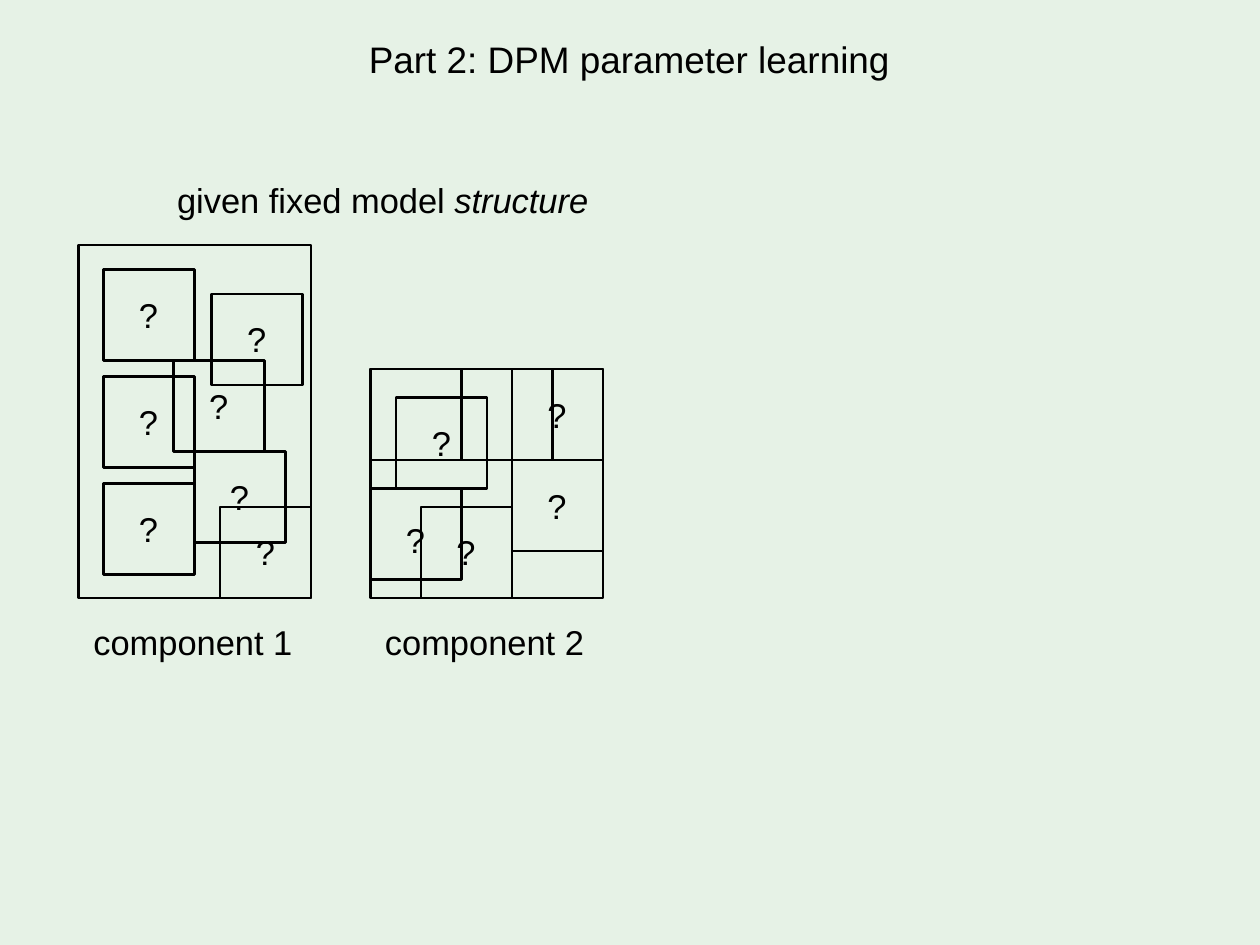
import pptx
import pptx.dml.color
import pptx.enum.shapes
import pptx.enum.text
import pptx.util

WIDE, HIGH = pptx.util.Inches(14.22), pptx.util.Inches(10.67)
COLS, ROWS = 1024, 768
INK, PAPER = "000000", "E6F2E6"
SIDE = 74             # side of a part, in grid columns
LEFT, DROP = 26, 17   # place of a mark within its part

# Each part: column, row, drop of its mark (None for no mark)
ONE = [(108, 40, DROP)]
ONE += [(20, 20 + 87 * i, DROP) for i in range(3)]
ONE += [(77, 94, DROP), (94, 168, DROP), (115, 213, DROP)]
TWO = [(0, 0, None), (21, 23, DROP), (74, 0, None), (115, 0, DROP),
       (115, SIDE, DROP), (41, 112, DROP), (0, 97, 22)]


def color(code):
    return pptx.dml.color.RGBColor.from_string(code)


def place(box):
    """Turn a box in grid columns and rows into slide lengths."""
    x, y, w, h = box
    return [round(n) for n in (x * WIDE / COLS, y * HIGH / ROWS,
                               w * WIDE / COLS, h * HIGH / ROWS)]


def style(item, **values):
    for name, value in values.items():
        setattr(item, name, value)


def write(shape, runs, size=28, align=pptx.enum.text.PP_ALIGN.LEFT):
    """Fill a shape with runs given as (text, italic)."""
    frame = shape.text_frame
    inset = pptx.util.Inches(0.04)
    style(frame, word_wrap=False, margin_left=inset, margin_right=inset,
          margin_top=inset, margin_bottom=inset,
          auto_size=pptx.enum.text.MSO_AUTO_SIZE.SHAPE_TO_FIT_TEXT,
          vertical_anchor=pptx.enum.text.MSO_ANCHOR.TOP)
    line = frame.paragraphs[0]
    line.alignment = align
    for text, slant in runs:
        run = line.add_run()
        run.text = text
        style(run.font, name="Arial", size=pptx.util.Pt(size), italic=slant)
        run.font.color.rgb = color(INK)


def label(shapes, box, *runs):
    write(shapes.add_textbox(*place(box)), runs)


def frame(shapes, box):
    kind = pptx.enum.shapes.MSO_SHAPE.RECTANGLE
    rect = shapes.add_shape(kind, *place(box))
    rect.shadow.inherit = False
    rect.fill.background()
    rect.line.color.rgb = color(INK)
    rect.line.width = pptx.util.Pt(2)


def model(slide, box, parts, name):
    """Draw one component: its root box, parts, marks and name below."""
    x, y, w, h = box
    shapes = slide.shapes.add_group_shape().shapes
    frame(shapes, box)
    for col, row, drop in parts:
        frame(shapes, (x + col, y + row, SIDE, SIDE))
    for col, row, drop in parts:
        if drop is not None:
            label(shapes, (x + col + LEFT, y + row + drop, 21, 40),
                  ("?", False))
    label(shapes, (x + 9, y + h + 16, 172, 40), (name, False))


def head(slide, box):
    title = slide.shapes.title
    spots = zip(("left", "top", "width", "height"), place(box))
    style(title, **dict(spots))
    write(title, [("Part 2: DPM parameter learning", False)], 30,
          pptx.enum.text.PP_ALIGN.CENTER)


def main():
    deck = pptx.Presentation()
    style(deck, slide_width=WIDE, slide_height=HIGH)
    slide = deck.slides.add_slide(deck.slide_layouts[5])
    back = slide.background.fill
    back.solid()
    back.fore_color.rgb = color(PAPER)

    head(slide, (295, 27, 433, 42))
    model(slide, (64, 199, 189, 287), ONE, "component 1")
    model(slide, (301, 300, 189, 186), TWO, "component 2")
    label(slide.shapes, (141, 143, 347, 40),
          ("given fixed model ", False), ("structure", True))
    deck.save("out.pptx")


if __name__ == "__main__":
    main()
